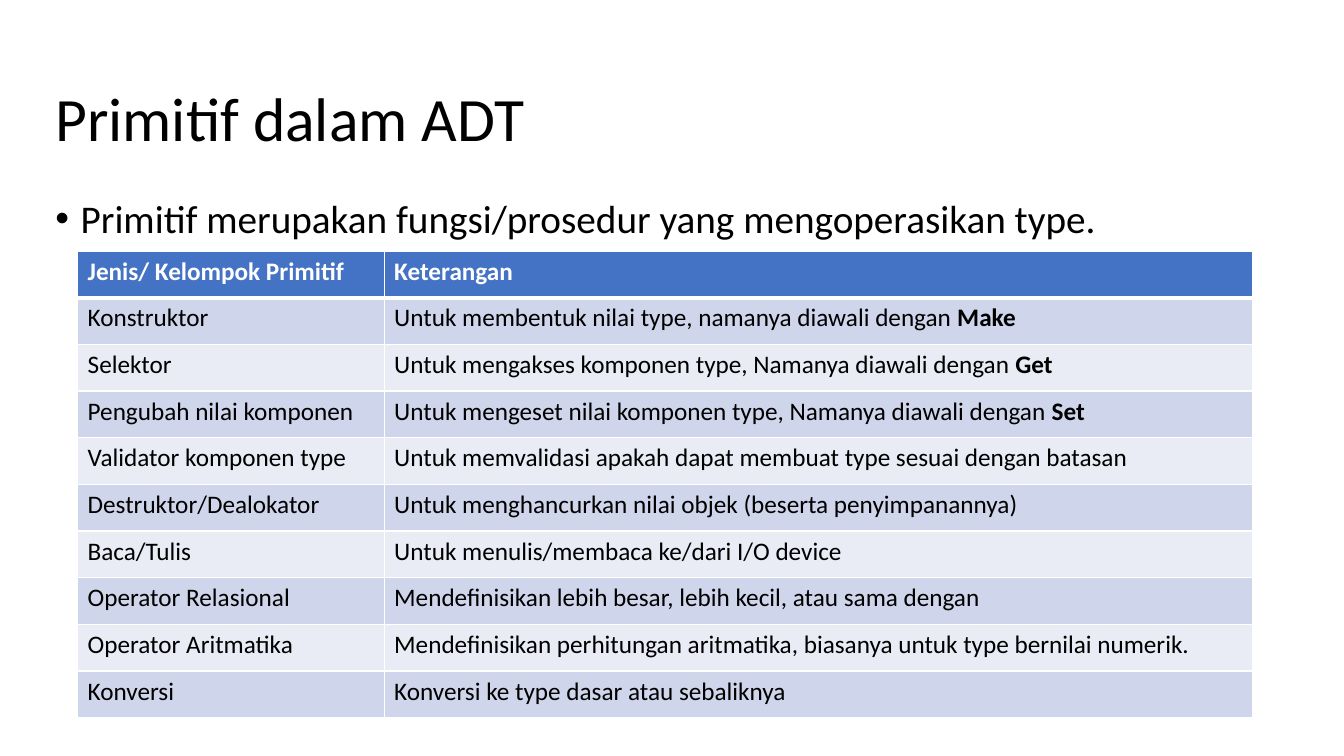
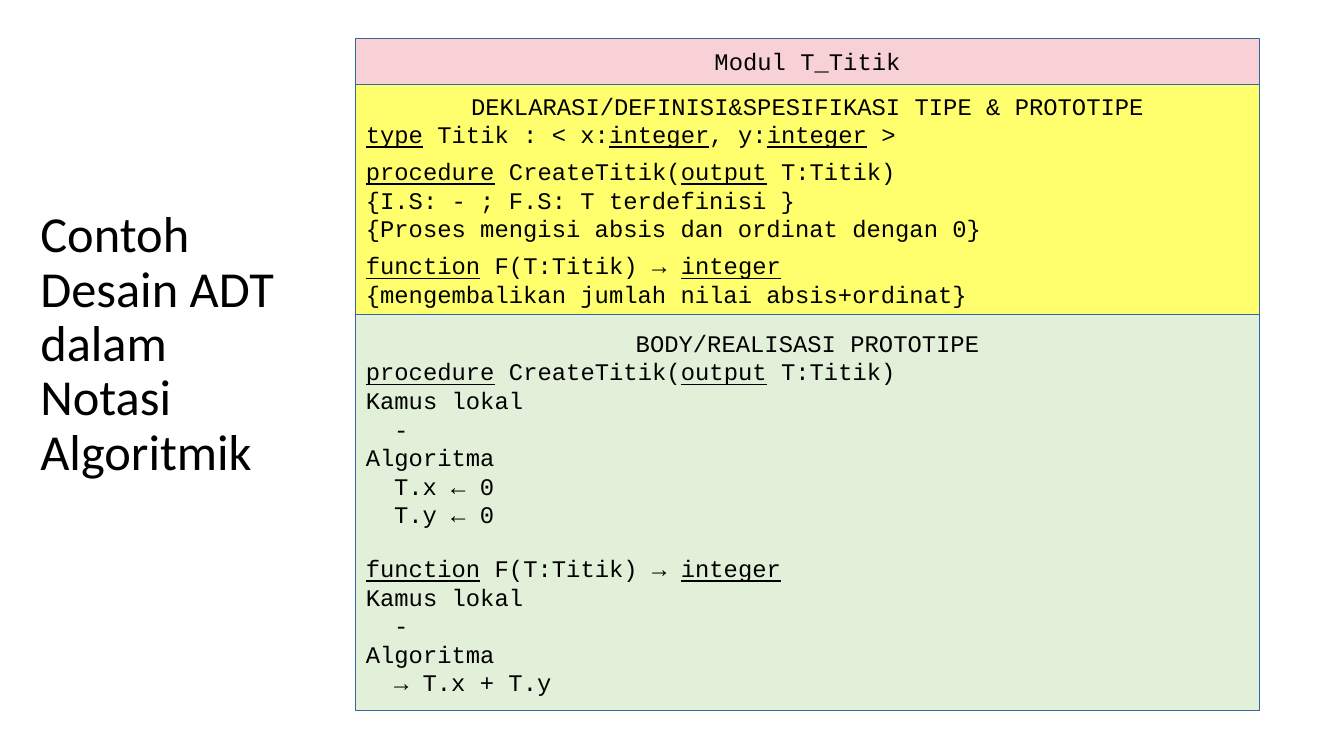
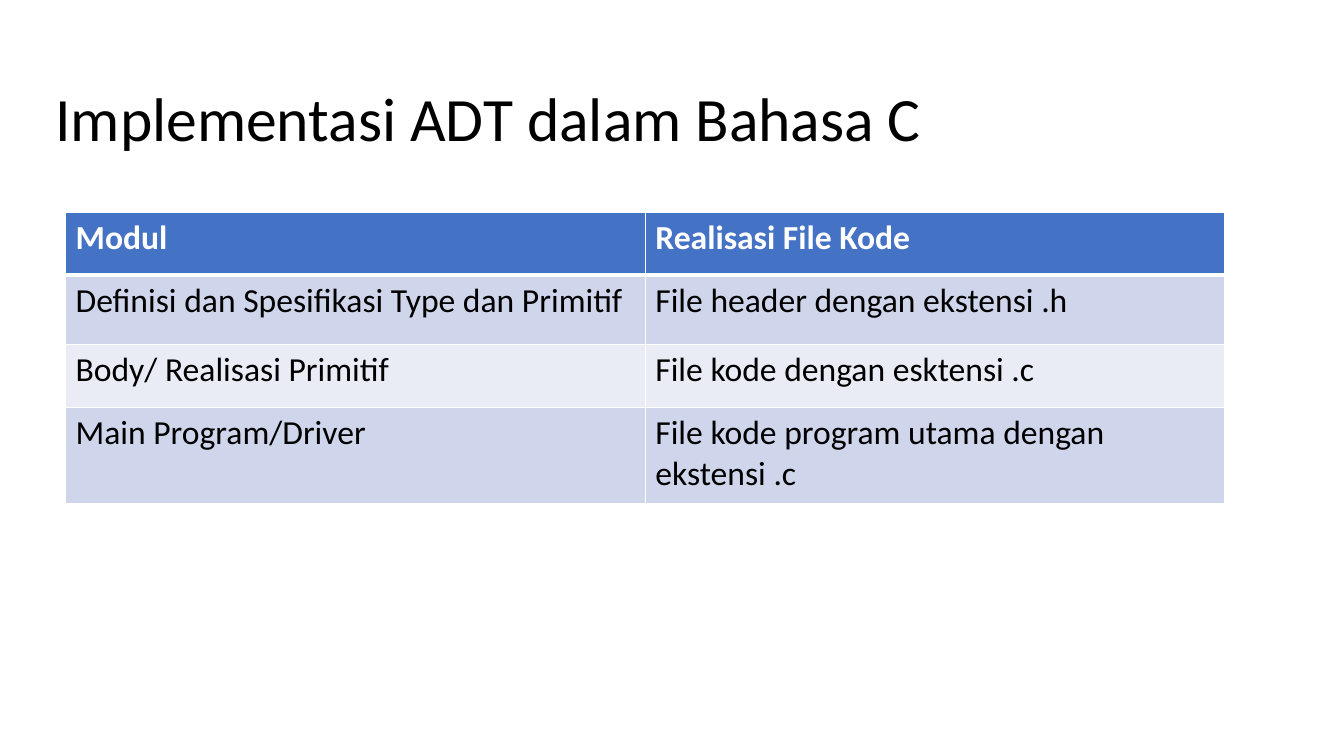
import pptx
import pptx.util
import pptx.dml.color
import pptx.enum.shapes
import pptx.enum.text
import pptx.oxml
import pptx.oxml.ns

Inches, Pt = pptx.util.Inches, pptx.util.Pt
ALIGN = pptx.enum.text.PP_ALIGN
MIDDLE = pptx.enum.text.MSO_ANCHOR.MIDDLE

# Shared look
BLACK, WHITE = "000000", "FFFFFF"
HEADER_FILL, BANDS = "4472C4", ("CFD5EA", "E9EBF5")
MODULE_LINE = "3465A4"
SANS, MONO = "Calibri", "Courier New"
TITLE_BOX = (0.45, 0.48, 11.5, 1.45)
TITLE_LAYOUT, BODY_LAYOUT = 5, 1

# Slide content: *...* marks emphasis
PRIMITIVES = [
    ("Jenis/ Kelompok Primitif", "Keterangan"),
    ("Konstruktor", "Untuk membentuk nilai type, namanya diawali dengan *Make*"),
    ("Selektor", "Untuk mengakses komponen type, Namanya diawali dengan *Get*"),
    ("Pengubah nilai komponen", "Untuk mengeset nilai komponen type, Namanya diawali dengan *Set*"),
    ("Validator komponen type", "Untuk memvalidasi apakah dapat membuat type sesuai dengan batasan"),
    ("Destruktor/Dealokator", "Untuk menghancurkan nilai objek (beserta penyimpanannya)"),
    ("Baca/Tulis", "Untuk menulis/membaca ke/dari I/O device"),
    ("Operator Relasional", "Mendefinisikan lebih besar, lebih kecil, atau sama dengan"),
    ("Operator Aritmatika", "Mendefinisikan perhitungan aritmatika, biasanya untuk type bernilai numerik."),
    ("Konversi", "Konversi ke type dasar atau sebaliknya"),
]
CODE_FILES = [
    ("Modul", "Realisasi File Kode"),
    ("Definisi dan Spesifikasi Type dan Primitif", "File header dengan ekstensi .h"),
    ("Body/ Realisasi Primitif", "File kode dengan esktensi .c"),
    ("Main Program/Driver", "File kode program utama dengan ekstensi .c"),
]
CREATE_TITIK = "*procedure* CreateTitik(*output* T:Titik)"
FUNCTION_F = "*function* F(T:Titik) → *integer*"
# Each module section: height, fill, space before its routines, heading, lines.
# A leading tab means one code indent.
MODULE_SECTIONS = [
    (0.46, "F7D1D5", 0, "Modul T_Titik", []),
    (2.28, "FFFF6D", 6, "DEKLARASI/DEFINISI&SPESIFIKASI TIPE & PROTOTIPE", [
        "*type* Titik : < x:*integer*, y:*integer* >",
        CREATE_TITIK,
        "{I.S: - ; F.S: T terdefinisi }",
        "{Proses mengisi absis dan ordinat dengan 0}",
        FUNCTION_F,
        "{mengembalikan jumlah nilai absis+ordinat}",
    ]),
    (3.93, "E2F0D9", 18, "BODY/REALISASI PROTOTIPE", [
        CREATE_TITIK, "Kamus lokal", "\t-", "Algoritma", "\tT.x ← 0", "\tT.y ← 0",
        FUNCTION_F, "Kamus lokal", "\t-", "Algoritma", "\t→ T.x + T.y",
    ]),
]


def rgb(color):
    return pptx.dml.color.RGBColor.from_string(color)


def apply(target, values):
    for attribute, value in values.items():
        setattr(target, attribute, value)


def place(shape, box):
    apply(shape, dict(zip(("left", "top", "width", "height"), map(Inches, box))))


def write(paragraph, text, font, emphasis="bold", color=BLACK, **layout):
    """Write text, giving the parts between asterisks the emphasis."""
    apply(paragraph, {"alignment": ALIGN.LEFT, **layout})
    for position, part in enumerate(text.split("*")):
        if part:
            run = paragraph.add_run()
            run.text = part
            apply(run.font, font)
            run.font.color.rgb = rgb(color)
            if position % 2:
                setattr(run.font, emphasis, True)


def indent(paragraph, left, first=0):
    properties = paragraph._p.get_or_add_pPr()
    properties.set("marL", str(Inches(left)))
    properties.set("indent", str(Inches(first)))


def add_slide(deck, layout, title, box=TITLE_BOX, size=44):
    slide = deck.slides.add_slide(deck.slide_layouts[layout])
    heading = slide.shapes.title
    place(heading, box)
    apply(heading.text_frame, {"word_wrap": True, "vertical_anchor": MIDDLE,
                               "auto_size": pptx.enum.text.MSO_AUTO_SIZE.NONE})
    write(heading.text_frame.paragraphs[0], title,
          {"name": SANS, "size": Pt(size)}, line_spacing=0.9)
    return slide


def add_bullet(slide, text, box):
    body = slide.placeholders[1]
    place(body, box)
    body.text_frame.auto_size = pptx.enum.text.MSO_AUTO_SIZE.NONE
    point = body.text_frame.paragraphs[0]
    write(point, text, {"name": SANS, "size": Pt(28)},
          line_spacing=0.9, space_before=Pt(10))
    indent(point, 0.25, -0.25)


def set_borders(cell, widths):
    """Draw white left, right, top and bottom borders, widths in points."""
    properties = cell._tc.get_or_add_tcPr()
    for side, width in zip("LRTB", widths):
        properties.append(pptx.oxml.parse_xml(
            f'<a:ln{side} {pptx.oxml.ns.nsdecls("a")} w="{Pt(width)}"><a:solidFill>'
            f'<a:srgbClr val="{WHITE}"/></a:solidFill></a:ln{side}>'))


def add_table(slide, rows, left, top, column_widths, row_heights, size):
    box = (left, top, sum(column_widths), sum(row_heights))
    table = slide.shapes.add_table(len(rows), len(column_widths), *map(Inches, box)).table
    for column, width in zip(table.columns, column_widths):
        column.width = Inches(width)
    for r, (texts, height) in enumerate(zip(rows, row_heights)):
        table.rows[r].height = Inches(height)
        header = r == 0
        for c, text in enumerate(texts):
            cell = table.cell(r, c)
            set_borders(cell, (1, 1, 3 if r == 1 else 1, 3 if header else 1))
            cell.fill.solid()
            cell.fill.fore_color.rgb = rgb(HEADER_FILL if header else BANDS[(r - 1) % 2])
            write(cell.text_frame.paragraphs[0], text,
                  {"name": SANS, "size": Pt(size), "bold": header},
                  color=WHITE if header else BLACK)


def add_section(group, box, fill, heading, lines, routine_gap):
    section = group.shapes.add_shape(pptx.enum.shapes.MSO_SHAPE.RECTANGLE,
                                     *map(Inches, box))
    section.shadow.inherit = False
    section.fill.solid()
    section.fill.fore_color.rgb = rgb(fill)
    section.line.color.rgb = rgb(MODULE_LINE)
    section.line.width = Pt(0.75)
    frame = section.text_frame
    apply(frame, {"word_wrap": True, "vertical_anchor": MIDDLE})
    code = {"name": MONO, "size": Pt(17)}
    write(frame.paragraphs[0], heading, code, alignment=ALIGN.CENTER)
    for number, line in enumerate(lines):
        paragraph = frame.add_paragraph()
        # A routine that follows other lines is set apart
        starts_routine = number > 0 and line in (CREATE_TITIK, FUNCTION_F)
        write(paragraph, line.lstrip("\t"), code, "underline",
              space_before=Pt(routine_gap if starts_routine else 0))
        if line.startswith("\t"):
            indent(paragraph, 0.28)


def add_module(slide, left, top, width):
    group = slide.shapes.add_group_shape()
    for height, fill, gap, heading, lines in MODULE_SECTIONS:
        add_section(group, (left, top, width, height), fill, heading, lines, gap)
        top += height


def main():
    deck = pptx.Presentation()
    apply(deck, {"slide_width": Inches(13.33), "slide_height": Inches(7.5)})

    # Primitives
    slide = add_slide(deck, BODY_LAYOUT, "Primitif dalam ADT")
    add_bullet(slide, "Primitif merupakan fungsi/prosedur yang mengoperasikan type.",
               (0.45, 1.93, 12.47, 4.95))
    add_table(slide, PRIMITIVES, 0.77, 2.49, (3.04, 8.61),
              [4.63 / len(PRIMITIVES)] * len(PRIMITIVES), 18)

    # Algorithmic notation
    slide = add_slide(deck, TITLE_LAYOUT, "Contoh Desain ADT dalam Notasi Algoritmik",
                      (0.3, 2.7, 2.61, 1.45), 36)
    add_module(slide, 3.53, 0.38, 8.96)

    # Implementation in C
    slide = add_slide(deck, TITLE_LAYOUT, "Implementasi ADT dalam Bahasa C")
    add_table(slide, CODE_FILES, 0.65, 2.11, (5.75, 5.75), (0.62, 0.69, 0.62, 0.96), 24)

    deck.save("out.pptx")


if __name__ == "__main__":
    main()
